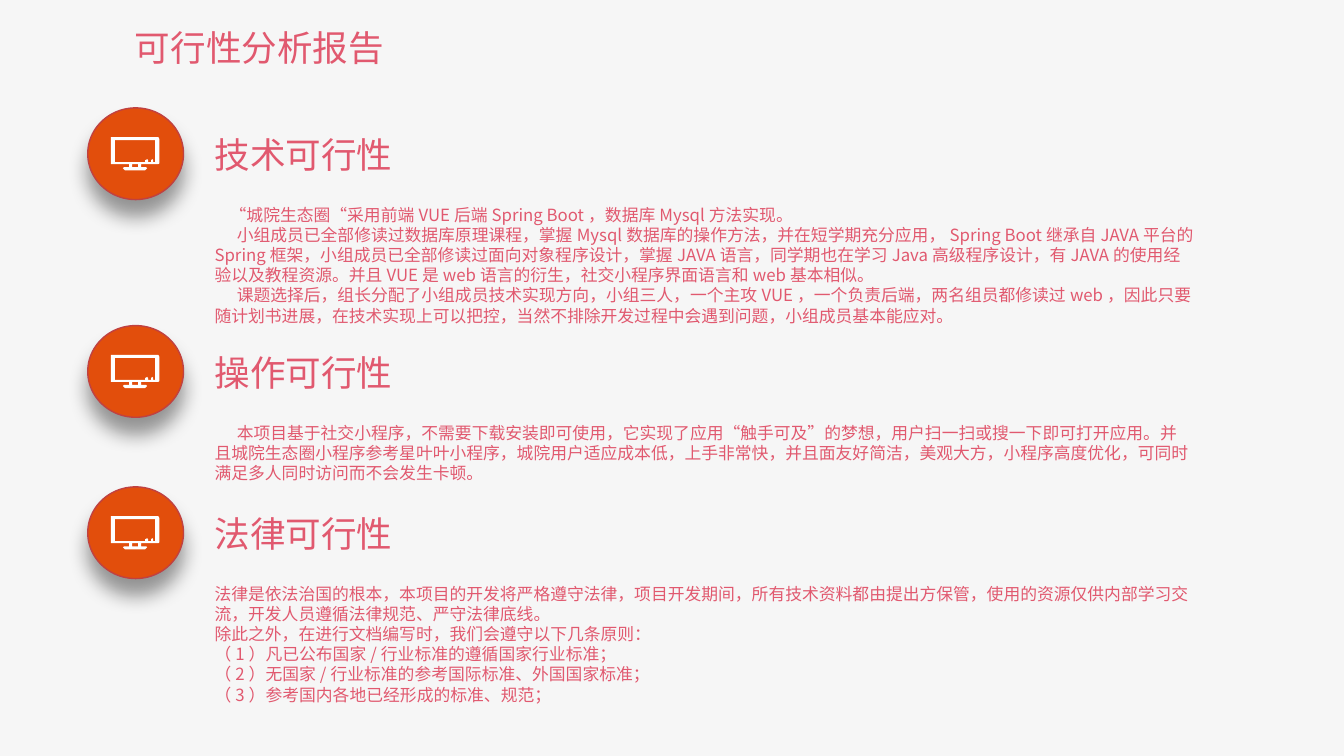
from dataclasses import dataclass
from lxml.etree import SubElement
from pptx import Presentation
from pptx.dml.color import RGBColor
from pptx.enum.shapes import MSO_SHAPE
from pptx.oxml import parse_xml
from pptx.oxml.ns import nsdecls, qn
from pptx.util import Inches, Pt


@dataclass(frozen=True)
class Theme:
    font: str = "Noto Sans CJK SC"
    text: str = "E1596F"
    backdrop: str = "F6F6F6"
    badge: str = "E24E0C"
    badge_line: str = "C04141"
    icon: str = "FFFFFF"
    title_size: float = 25.4
    body_size: float = 12
    leading: float = 1.2


THEME = Theme()

# Content: heading, badge top, body height, paragraphs as (first-line indent, text)
TITLE = "可行性分析报告"
SECTIONS = [
    ("技术可行性", 1.07, 1.31, [
        (0.15, "“城院生态圈“采用前端VUE后端Spring Boot，数据库Mysql方法实现。"),
        (0.22, "小组成员已全部修读过数据库原理课程，掌握Mysql数据库的操作方法，并在短学期充分应用，"
               "Spring Boot继承自JAVA平台的Spring框架，小组成员已全部修读过面向对象程序设计，"
               "掌握JAVA语言，同学期也在学习Java高级程序设计，有JAVA的使用经验以及教程资源。"
               "并且VUE是web语言的衍生，社交小程序界面语言和web基本相似。"),
        (0.22, "课题选择后，组长分配了小组成员技术实现方向，小组三人，一个主攻VUE，一个负责后端，"
               "两名组员都修读过web，因此只要随计划书进展，在技术实现上可以把控，"
               "当然不排除开发过程中会遇到问题，小组成员基本能应对。"),
    ]),
    ("操作可行性", 3.23, 0.71, [
        (0.22, "本项目基于社交小程序，不需要下载安装即可使用，它实现了应用“触手可及”的梦想，"
               "用户扫一扫或搜一下即可打开应用。并且城院生态圈小程序参考星叶叶小程序，"
               "城院用户适应成本低，上手非常快，并且面友好简洁，美观大方，小程序高度优化，"
               "可同时满足多人同时访问而不会发生卡顿。"),
    ]),
    ("法律可行性", 4.83, 1.31, [
        (0, "法律是依法治国的根本，本项目的开发将严格遵守法律，项目开发期间，"
            "所有技术资料都由提出方保管，使用的资源仅供内部学习交流，"
            "开发人员遵循法律规范、严守法律底线。"),
        (0, "除此之外，在进行文档编写时，我们会遵守以下几条原则："),
        (0, "（1）凡已公布国家/行业标准的遵循国家行业标准；"),
        (0, "（2）无国家/行业标准的参考国际标准、外国国家标准；"),
        (0, "（3）参考国内各地已经形成的标准、规范；"),
    ]),
]

# Monitor icon outlines, in hundredths of an inch: body with stand, neck gap, screen
MONITOR = [
    [(46, 0), (2, 0), (0.5, 0.5), (0, 2), (0, 25.5), (0.5, 26.7), (2, 27.2), (18, 27.2),
     (18, 30), (14, 30), (12.6, 30.4), (12, 31.4), (12.6, 32.5), (14, 33), (34, 33),
     (35.4, 32.5), (36, 31.4), (35.4, 30.4), (34, 30), (30, 30), (30, 27.2), (46, 27.2),
     (47, 26.7), (47.5, 25.5), (47.5, 2), (47, 0.5)],
    [(27, 30), (21, 30), (21, 27.2), (27, 27.2)],
    [(44, 24.7), (42.3, 24.7), (42.3, 23.3), (41, 22), (39.5, 23.3), (39.5, 24.7),
     (37, 24.7), (37, 23.3), (35.5, 22), (33.5, 23.3), (33.5, 24.7), (3.5, 24.7),
     (3.5, 3.2), (44, 3.2)],
]

BADGE_X, BADGE_W, BADGE_H = 0.87, 0.95, 0.91
ICON_X, ICON_DY = 1.1, 0.29
TEXT_X, HEADING_DY, BODY_DY = 2.03, 0.2, 0.91
HEADING_W, HEADING_H, BODY_W = 3.83, 0.53, 9.91


def paint(sp, color):
    sp.shadow.inherit = False
    sp.fill.solid()
    sp.fill.fore_color.rgb = RGBColor.from_string(color)
    sp.line.fill.background()


def add_text(s, x, y, w, h, paragraphs, size):
    tf = s.shapes.add_textbox(Inches(x), Inches(y), Inches(w), Inches(h)).text_frame
    tf.word_wrap = True
    for i, (indent, text) in enumerate(paragraphs):
        p = tf.add_paragraph() if i else tf.paragraphs[0]
        p.text = text
        p.line_spacing = Pt(round(size * THEME.leading, 1))
        p.font.size = Pt(size)
        p.font.name = THEME.font
        p.font.color.rgb = RGBColor.from_string(THEME.text)
        # East Asian typeface and first-line indent
        pPr = p._p.find(qn("a:pPr"))
        SubElement(pPr.find(qn("a:defRPr")), qn("a:ea"), typeface=THEME.font)
        if indent:
            pPr.set("marL", "0")
            pPr.set("indent", str(Inches(indent)))


def add_badge(s, y):
    sp = s.shapes.add_shape(MSO_SHAPE.OVAL, Inches(BADGE_X), Inches(y),
                            Inches(BADGE_W), Inches(BADGE_H))
    paint(sp, THEME.badge)
    sp.line.color.rgb = RGBColor.from_string(THEME.badge_line)
    sp.line.width = Pt(1)
    # Soft shadow straight below
    sp._element.spPr.find(qn("a:effectLst")).append(parse_xml(
        f'<a:outerShdw {nsdecls("a")} blurRad="{Pt(14)}" dist="{Pt(12)}" dir="5400000" '
        'algn="t" rotWithShape="0"><a:srgbClr val="000000"><a:alpha val="40000"/>'
        '</a:srgbClr></a:outerShdw>'))


def add_monitor(s, x, y):
    outline, *holes = MONITOR
    fb = s.shapes.build_freeform(*outline[0], scale=Inches(0.01))
    fb.add_line_segments(outline[1:])
    for hole in holes:
        fb.move_to(*hole[0])
        fb.add_line_segments(hole[1:])
    paint(fb.convert_to_shape(Inches(x), Inches(y)), THEME.icon)


prs = Presentation()
prs.slide_width, prs.slide_height = Inches(13.33), Inches(7.5)
s = prs.slides.add_slide(prs.slide_layouts[6])

# Backdrop and slide title
paint(s.shapes.add_shape(MSO_SHAPE.RECTANGLE, 0, 0, prs.slide_width, prs.slide_height),
      THEME.backdrop)
add_text(s, 1.24, 0.21, HEADING_W, HEADING_H, [(0, TITLE)], THEME.title_size)

# Sections
for heading, top, body_h, paragraphs in SECTIONS:
    add_text(s, TEXT_X, top + HEADING_DY, HEADING_W, HEADING_H, [(0, heading)],
             THEME.title_size)
    add_text(s, TEXT_X, top + BODY_DY, BODY_W, body_h, paragraphs, THEME.body_size)
    add_badge(s, top)
    add_monitor(s, ICON_X, top + ICON_DY)

prs.save("out.pptx")
